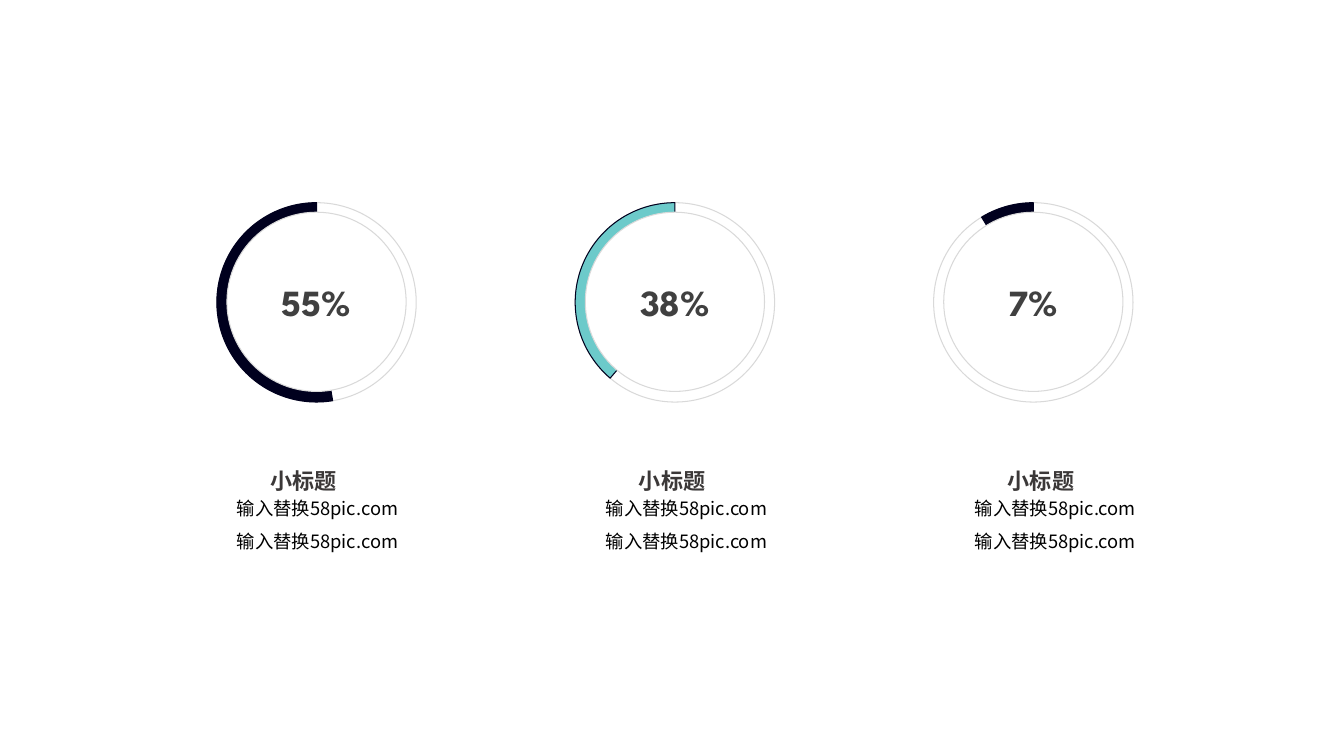
import pptx
import pptx.util
import pptx.dml.color
import pptx.enum.shapes
import pptx.enum.text
import pptx.oxml.ns
import lxml.etree

Pt = pptx.util.Pt
SHAPES = pptx.enum.shapes.MSO_SHAPE
ALIGN = pptx.enum.text.PP_ALIGN
ANCHOR = pptx.enum.text.MSO_ANCHOR

# Content: value, start angle of the arc in degrees, arc colour
GAUGES = [
    ("55%", 80.69, "navy"),
    ("38%", 130.5, "teal"),
    ("7%", 238.77, "navy"),
]
TITLE = "小标题"
LINES = ["输入替换58pic.com", "输入替换58pic.com"]

THEME = {
    "white": "FFFFFF", "ring": "D9D9D9", "navy": "00001E", "teal": "6CCACA",
    "value": "404040", "title": "3B3838", "body": "000000",
    "value_size": 26.3, "title_size": 15.8, "body_size": 13.1,
    "value_font": "League Spartan", "text_font": "Noto Sans CJK SC",
}

# Layout in points
RING_X, RING_Y, RING_STEP = 226.1, 216, 256
RING_SIZE, HOLE_SIZE = 142.4, 128
TITLE_X, BODY_X, CAPTION_STEP = 216.7, 226.8, 263.5
TITLE_TOP, TITLE_WIDTH, TITLE_HEIGHT = 329.8, 129.6, 21.6
BODY_TOP, BODY_WIDTH, BODY_HEIGHT = 351.4, 203, 47.5
TOP_ANGLE = 270


def color(name):
    return pptx.dml.color.RGBColor.from_string(THEME[name])


def add_round(page, kind, center_x, center_y, size, fill, line):
    shape = page.shapes.add_shape(
        kind, Pt(center_x - size / 2), Pt(center_y - size / 2), Pt(size), Pt(size))
    shape.shadow.inherit = False
    shape.fill.solid()
    shape.fill.fore_color.rgb = color(fill)
    shape.line.color.rgb = color(line)
    shape.line.width = Pt(0.75)
    return shape


def write(box, lines, role, font, bold=False, inset=0, gap=0, spacing=None):
    frame = box.text_frame
    frame.word_wrap = True
    frame.margin_left = frame.margin_right = Pt(inset * 2)
    frame.margin_top = frame.margin_bottom = Pt(inset)
    for number, line in enumerate(lines):
        para = frame.add_paragraph() if number else frame.paragraphs[0]
        para.alignment = ALIGN.CENTER
        if number:
            para.space_before = Pt(gap)
        if spacing:
            para.line_spacing = spacing
        span = para.add_run()
        span.text = line
        span.font.size = Pt(THEME[role + "_size"])
        span.font.bold = bold
        span.font.color.rgb = color(role)
        span.font.name = THEME[font]
        east_asian = lxml.etree.SubElement(
            span.font._element, pptx.oxml.ns.qn("a:ea"))
        east_asian.set("typeface", THEME[font])


def add_text(page, center_x, top, width, height):
    return page.shapes.add_textbox(
        Pt(center_x - width / 2), Pt(top), Pt(width), Pt(height))


def add_gauge(page, column, value, start, arc_color):
    x = RING_X + column * RING_STEP
    add_round(page, SHAPES.OVAL, x, RING_Y, RING_SIZE, "white", "ring")
    arc = add_round(page, SHAPES.PIE, x, RING_Y, RING_SIZE, arc_color, "navy")
    # Pie angles are stored in 60000ths of a degree, scaled here by 100000
    arc.adjustments[0] = start * 0.6
    arc.adjustments[1] = TOP_ANGLE * 0.6
    hole = add_round(page, SHAPES.OVAL, x, RING_Y - 0.4, HOLE_SIZE, "white", "ring")
    hole.text_frame.vertical_anchor = ANCHOR.MIDDLE
    write(hole, [value], "value", "value_font", bold=True)


def add_caption(page, column):
    shift = column * CAPTION_STEP
    body = add_text(page, BODY_X + shift, BODY_TOP, BODY_WIDTH, BODY_HEIGHT)
    write(body, LINES, "body", "text_font", inset=3.6, gap=7.9)
    title = add_text(page, TITLE_X + shift, TITLE_TOP, TITLE_WIDTH, TITLE_HEIGHT)
    write(title, [TITLE], "title", "text_font", bold=True, spacing=1.2)


def main():
    deck = pptx.Presentation()
    deck.slide_width, deck.slide_height = Pt(960), Pt(540)
    page = deck.slides.add_slide(deck.slide_layouts[6])
    for column, gauge in enumerate(GAUGES):
        add_gauge(page, column, *gauge)
    for column in range(len(GAUGES)):
        add_caption(page, column)
    deck.save("out.pptx")


if __name__ == "__main__":
    main()
